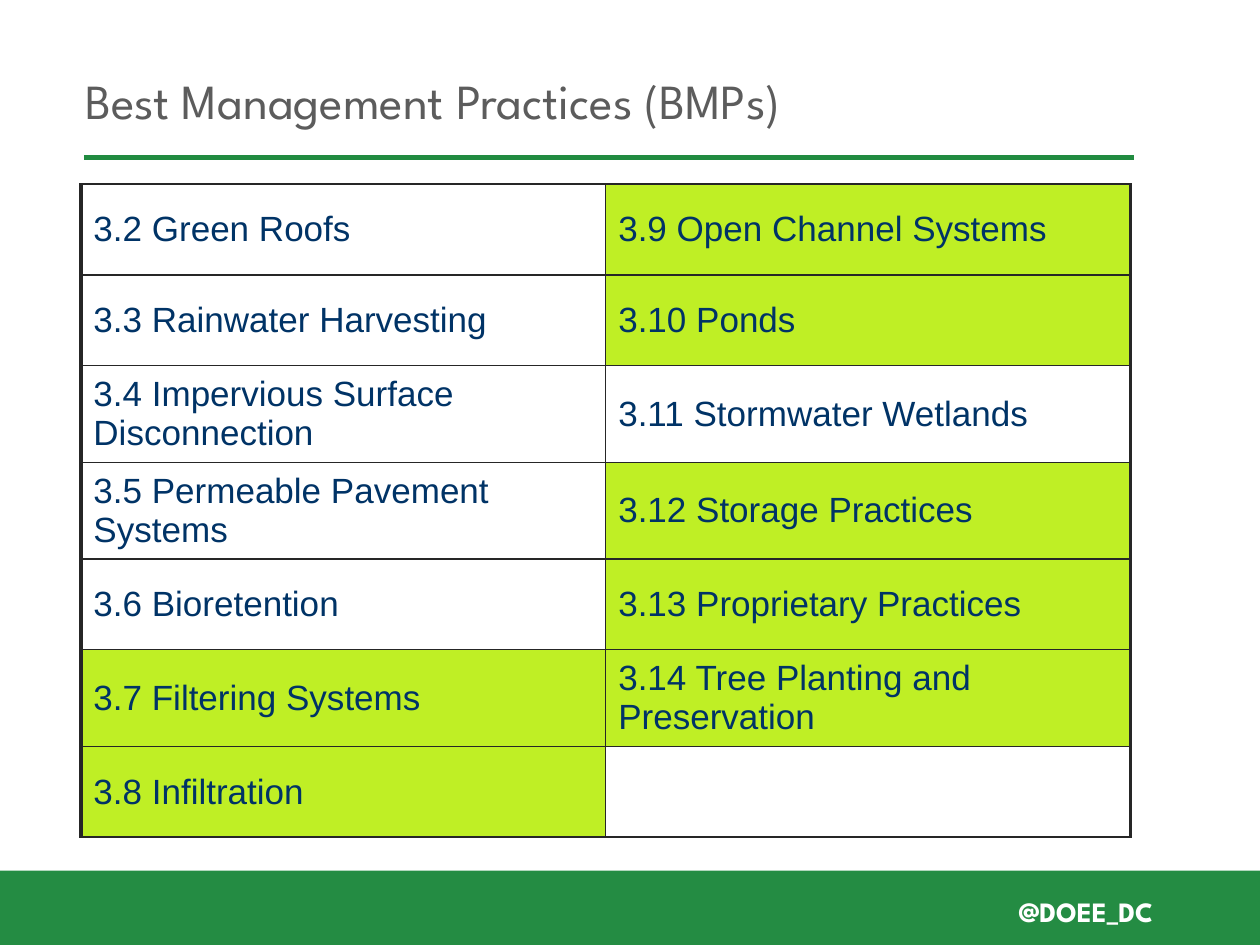
import dataclasses

import lxml.etree
import pptx
import pptx.dml.color
import pptx.enum.shapes
import pptx.enum.text
import pptx.oxml
import pptx.oxml.ns
import pptx.util
from pptx.util import Cm, Pt

COLORS = {
    "title": "5C5C5C",
    "rule": "218B40",
    "band": "248C43",
    "handle": "FFFFFF",
    "practice": "003366",
    "highlight": "BFEF25",
    "border": "262626",
}
HEADING_FONT = "League Spartan"
TABLE_FONT = "Arial"
INNER_BORDER = 1
OUTER_BORDER = 2.25


@dataclasses.dataclass(frozen=True)
class Practice:
    name: str
    highlighted: bool = False


LEFT_COLUMN = [
    Practice("3.2 Green Roofs"),
    Practice("3.3 Rainwater Harvesting"),
    Practice("3.4 Impervious Surface Disconnection"),
    Practice("3.5 Permeable Pavement Systems"),
    Practice("3.6 Bioretention"),
    Practice("3.7 Filtering Systems", True),
    Practice("3.8 Infiltration", True),
]
RIGHT_COLUMN = [
    Practice("3.9 Open Channel Systems", True),
    Practice("3.10 Ponds", True),
    Practice("3.11 Stormwater Wetlands"),
    Practice("3.12 Storage Practices", True),
    Practice("3.13 Proprietary Practices", True),
    Practice("3.14 Tree Planting and Preservation", True),
    Practice(""),
]


def color(name: str) -> pptx.dml.color.RGBColor:
    return pptx.dml.color.RGBColor.from_string(COLORS[name])


def format_text(paragraph, font_name: str, size: float, color_name: str, bold: bool = False) -> None:
    paragraph.font.name = font_name
    paragraph.font.size = Pt(size)
    paragraph.font.bold = bold
    paragraph.font.color.rgb = color(color_name)


def set_border(cell, side: str, width: float) -> None:
    properties = cell._tc.get_or_add_tcPr()
    line = lxml.etree.SubElement(
        properties, pptx.oxml.ns.qn(f"a:ln{side}"), w=str(int(Pt(width)))
    )
    fill = lxml.etree.SubElement(line, pptx.oxml.ns.qn("a:solidFill"))
    lxml.etree.SubElement(fill, pptx.oxml.ns.qn("a:srgbClr"), val=COLORS["border"])


def draw_practice(cell, practice: Practice, left_border: float, right_border: float) -> None:
    widths = {"L": left_border, "R": right_border, "T": INNER_BORDER, "B": INNER_BORDER}
    for side, width in widths.items():
        set_border(cell, side, width)
    if practice.highlighted:
        cell.fill.solid()
        cell.fill.fore_color.rgb = color("highlight")
    else:
        cell.fill.background()
    cell.vertical_anchor = pptx.enum.text.MSO_ANCHOR.MIDDLE
    cell.text = practice.name
    format_text(cell.text_frame.paragraphs[0], TABLE_FONT, 20, "practice")


def draw_title(slide) -> None:
    title = slide.shapes.title
    title.left, title.top = Cm(1.47), Cm(0.64)
    title.width, title.height = Cm(20.45), Cm(2.74)
    title.text_frame.text = "Best Management Practices (BMPs)"
    title.text_frame.vertical_anchor = pptx.enum.text.MSO_ANCHOR.MIDDLE
    paragraph = title.text_frame.paragraphs[0]
    paragraph.alignment = pptx.enum.text.PP_ALIGN.LEFT
    format_text(paragraph, HEADING_FONT, 28, "title")

    rule = slide.shapes.add_connector(
        pptx.enum.shapes.MSO_CONNECTOR.STRAIGHT, Cm(1.69), Cm(3.18), Cm(22.86), Cm(3.18)
    )
    rule.line.color.rgb = color("rule")
    rule.line.width = Pt(3)
    lxml.etree.SubElement(rule._element.spPr, pptx.oxml.ns.qn("a:effectLst"))


def draw_footer(slide) -> None:
    band = slide.shapes.add_shape(
        pptx.enum.shapes.MSO_SHAPE.RECTANGLE, Cm(-0.64), Cm(17.55), Cm(27.31), Cm(1.7)
    )
    band.shadow.inherit = False
    band.fill.solid()
    band.fill.fore_color.rgb = color("band")
    band.line.fill.background()

    handle = slide.shapes.add_textbox(Cm(19.69), Cm(17.91), Cm(3.81), Cm(0.94))
    handle.text_frame.word_wrap = True
    handle.text_frame.text = "@DOEE_DC"
    paragraph = handle.text_frame.paragraphs[0]
    paragraph.alignment = pptx.enum.text.PP_ALIGN.RIGHT
    format_text(paragraph, HEADING_FONT, 16, "handle", bold=True)


def draw_practices(slide) -> None:
    row_count = len(LEFT_COLUMN)
    table = slide.shapes.add_table(
        row_count, 2, Cm(1.63), Cm(3.71), Cm(21.16), Cm(1.83 * row_count)
    ).table
    table.first_row = False
    table.horz_banding = False
    for row_index, (left, right) in enumerate(zip(LEFT_COLUMN, RIGHT_COLUMN)):
        draw_practice(table.cell(row_index, 0), left, OUTER_BORDER, INNER_BORDER)
        draw_practice(table.cell(row_index, 1), right, INNER_BORDER, OUTER_BORDER)


def main() -> None:
    presentation = pptx.Presentation()
    presentation.slide_width = Cm(25.4)
    presentation.slide_height = Cm(19.05)
    slide = presentation.slides.add_slide(presentation.slide_layouts[5])
    draw_title(slide)
    draw_footer(slide)
    draw_practices(slide)
    presentation.save("out.pptx")


if __name__ == "__main__":
    main()
